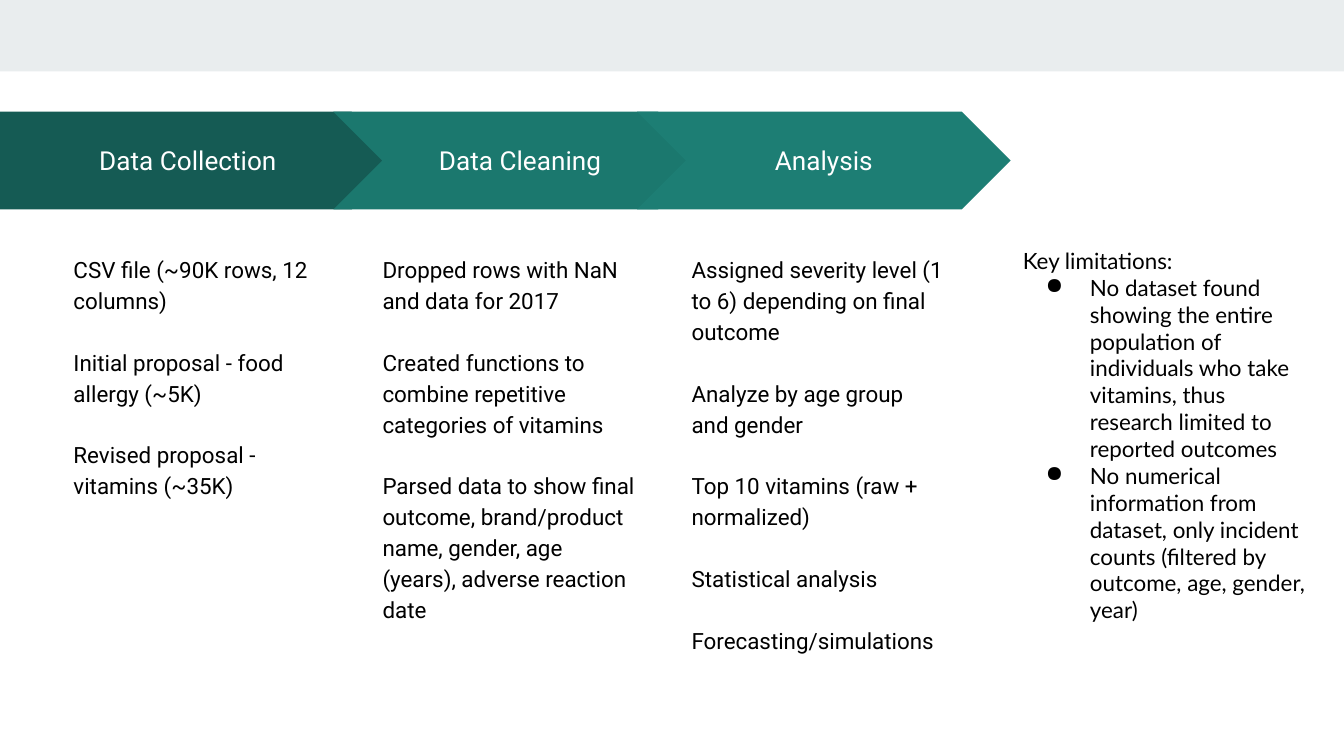
from dataclasses import dataclass

import pptx
import pptx.dml.color
import pptx.enum.shapes
import pptx.enum.text
import pptx.oxml
import pptx.oxml.ns
import pptx.util

Cm = pptx.util.Cm
Pt = pptx.util.Pt
RGBColor = pptx.dml.color.RGBColor
MSO_SHAPE = pptx.enum.shapes.MSO_SHAPE
PP_ALIGN = pptx.enum.text.PP_ALIGN
MSO_ANCHOR = pptx.enum.text.MSO_ANCHOR

BAND_GREY = RGBColor(0xE9, 0xED, 0xEE)
DARK_TEAL = RGBColor(0x15, 0x5B, 0x54)
MID_TEAL = RGBColor(0x1B, 0x78, 0x6E)
LIGHT_TEAL = RGBColor(0x1D, 0x7E, 0x74)
BLACK = RGBColor(0, 0, 0)
WHITE = RGBColor(0xFF, 0xFF, 0xFF)

ARROW_TOP, ARROW_HEIGHT = Cm(2.11), Cm(1.85)
DETAIL_LEFT, DETAIL_PITCH = Cm(1.14), Cm(5.84)
INSET = Cm(0.25)


@dataclass(frozen=True)
class Stage:
    title: str
    outline: int
    left: float
    width: float
    color: RGBColor
    details: tuple[str, ...]


STAGES = (
    Stage("Data Collection", MSO_SHAPE.PENTAGON, 0, 7.57, DARK_TEAL, (
        "CSV file (~90K rows, 12 columns)",
        "Initial proposal - food allergy (~5K)",
        "Revised proposal - vitamins (~35K)",
    )),
    Stage("Data Cleaning", MSO_SHAPE.CHEVRON, 6.3, 7.06, MID_TEAL, (
        "Dropped rows with NaN and data for 2017",
        "Created functions to combine repetitive categories of vitamins",
        "Parsed data to show final outcome, brand/product name, gender, "
        "age (years), adverse reaction date",
    )),
    Stage("Analysis", MSO_SHAPE.CHEVRON, 12.04, 7.06, LIGHT_TEAL, (
        "Assigned severity level (1 to 6) depending on final outcome",
        "Analyze by age group and gender",
        "Top 10 vitamins (raw + normalized)",
        "Statistical analysis",
        "Forecasting/simulations",
    )),
)
LIMITATIONS = (
    "No dataset found showing the entire population of individuals who take "
    "vitamins, thus research limited to reported outcomes",
    "No numerical information from dataset, only incident counts "
    "(filtered by outcome, age, gender, year)",
)


def add_filled(slide, outline: int, left: int, top: int, width: int,
               height: int, color: RGBColor):
    shape = slide.shapes.add_shape(outline, left, top, width, height)
    shape.shadow.inherit = False
    shape.fill.solid()
    shape.fill.fore_color.rgb = color
    shape.line.fill.background()
    return shape


def prepare_frame(frame) -> None:
    frame.word_wrap = True
    frame.margin_left = frame.margin_right = INSET
    frame.margin_top = frame.margin_bottom = INSET


def add_text_box(slide, left: int, top: int, width: int, height: int):
    frame = slide.shapes.add_textbox(left, top, width, height).text_frame
    prepare_frame(frame)
    return frame


def write(paragraph, text: str, font: str, size: int, color: RGBColor) -> None:
    run = paragraph.add_run()
    run.text = text
    run.font.name = font
    run.font.size = Pt(size)
    run.font.color.rgb = color


def add_bullet(paragraph) -> None:
    properties = paragraph._p.get_or_add_pPr()
    properties.set("marL", str(Cm(1.27)))
    properties.set("indent", str(-Cm(0.84)))
    properties.append(pptx.oxml.parse_xml(
        f'<a:buChar {pptx.oxml.ns.nsdecls("a")} char="●"/>'))


def draw_stage(slide, stage: Stage, index: int) -> None:
    # Arrow with the stage title
    arrow = add_filled(slide, stage.outline, Cm(stage.left), ARROW_TOP,
                       Cm(stage.width), ARROW_HEIGHT, stage.color)
    arrow.adjustments[0] = 0.5
    prepare_frame(arrow.text_frame)
    arrow.text_frame.vertical_anchor = MSO_ANCHOR.MIDDLE
    title = arrow.text_frame.paragraphs[0]
    title.alignment = PP_ALIGN.CENTER
    write(title, stage.title, "Roboto", 14, WHITE)

    # Details below the arrow
    frame = add_text_box(slide, DETAIL_LEFT + index * DETAIL_PITCH, Cm(4.52),
                         Cm(5.28), Cm(7.26))
    for number, detail in enumerate(stage.details):
        paragraph = frame.add_paragraph() if number else frame.paragraphs[0]
        paragraph.line_spacing = 1.15
        if number:
            paragraph.space_before = Pt(16.5)
        write(paragraph, detail, "Roboto", 12, BLACK)


def draw_limitations(slide) -> None:
    frame = add_text_box(slide, Cm(19.08), Cm(4.42), Cm(5.89), Cm(2.06))
    write(frame.paragraphs[0], "Key limitations:", "Lato", 12, BLACK)
    for limitation in LIMITATIONS:
        paragraph = frame.add_paragraph()
        add_bullet(paragraph)
        write(paragraph, limitation, "Lato", 12, BLACK)


presentation = pptx.Presentation()
presentation.slide_width = Cm(25.4)
presentation.slide_height = Cm(14.29)
slide = presentation.slides.add_slide(presentation.slide_layouts[6])

# Top band
add_filled(slide, MSO_SHAPE.RECTANGLE, 0, 0, presentation.slide_width,
           Cm(1.35), BAND_GREY)

# Process stages
for index, stage in enumerate(STAGES):
    draw_stage(slide, stage, index)

# Limitations
draw_limitations(slide)

presentation.save("out.pptx")
